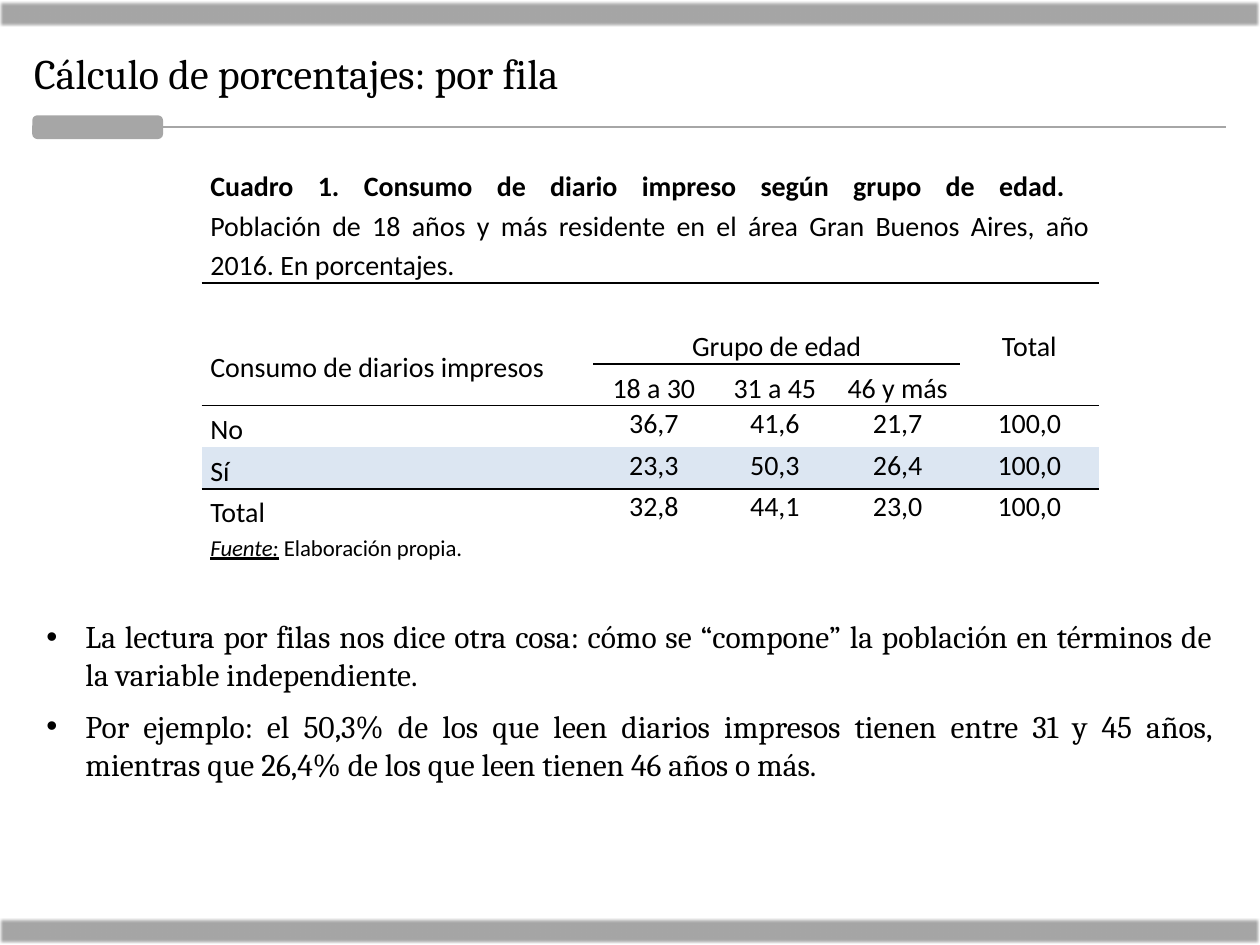
from dataclasses import dataclass

import pptx
import pptx.dml.color
import pptx.enum.shapes
import pptx.enum.text
import pptx.oxml
import pptx.oxml.ns
import pptx.util
from lxml import etree

Inches = pptx.util.Inches
Pt = pptx.util.Pt
Align = pptx.enum.text.PP_ALIGN
Anchor = pptx.enum.text.MSO_ANCHOR
Shapes = pptx.enum.shapes.MSO_SHAPE

COLORS = {"ink": "000000", "paper": "FFFFFF", "gray": "A6A6A6", "band": "DCE6F2"}
NO_TABLE_STYLE = "{2D5ABB26-0587-4C30-8999-92F81FD0307C}"
NAMESPACE = pptx.oxml.ns.nsdecls("a")


@dataclass
class Block:
    left: float
    top: float
    width: float
    height: float
    shape: Shapes = Shapes.RECTANGLE
    outline: float = 0
    soft_edge: float = 0


@dataclass
class Bullet:
    top: float
    text: str


BLOCKS = [
    Block(0, 0.01, 10, 0.2, soft_edge=1),
    Block(0, 7.29, 10, 0.2, soft_edge=1),
    Block(0.27, 0.93, 1.01, 0.16, Shapes.ROUNDED_RECTANGLE, outline=2),
]
BULLETS = [
    Bullet(4.85, "La lectura por filas nos dice otra cosa: cómo se “compone” la población "
                 "en términos de la variable independiente."),
    Bullet(5.56, "Por ejemplo: el 50,3% de los que leen diarios impresos tienen entre 31 y 45 "
                 "años, mientras que 26,4% de los que leen tienen 46 años o más."),
]

COLUMN_WIDTHS = [3.11, 0.96, 0.96, 0.99, 1.1]
ROW_HEIGHTS = [0.91, 0.33, 0.31] + [0.33] * 5
AGE_GROUPS = ["18 a 30", "31 a 45", "46 y más"]
DATA = [
    ["No", "36,7", "41,6", "21,7", "100,0"],
    ["Sí", "23,3", "50,3", "26,4", "100,0"],
    ["Total", "32,8", "44,1", "23,0", "100,0"],
]
FIRST_DATA_ROW = 4
SHADED_ROW = 5
RULED_ROWS = {0, 2, 3, 5}


def color(name: str) -> pptx.dml.color.RGBColor:
    return pptx.dml.color.RGBColor.from_string(COLORS[name])


def set_font(font, name: str, size: float) -> None:
    font.name = name
    font.size = Pt(size)
    font.color.rgb = color("ink")


def add_block(page, block: Block) -> None:
    box = page.shapes.add_shape(block.shape, Inches(block.left), Inches(block.top),
                                Inches(block.width), Inches(block.height))
    box.shadow.inherit = False
    box.fill.solid()
    box.fill.fore_color.rgb = color("gray")
    if block.outline:
        box.line.color.rgb = color("gray")
        box.line.width = Pt(block.outline)
    else:
        box.line.fill.background()
    if block.soft_edge:
        effects = box._element.spPr.find(pptx.oxml.ns.qn("a:effectLst"))
        etree.SubElement(effects, pptx.oxml.ns.qn("a:softEdge"), rad=str(Pt(block.soft_edge)))


def add_bullet(page, bullet: Bullet) -> None:
    box = page.shapes.add_textbox(Inches(0.27), Inches(bullet.top), Inches(9.45), Inches(0.71))
    box.text_frame.word_wrap = True
    para = box.text_frame.paragraphs[0]
    para.text = bullet.text
    para.alignment = Align.JUSTIFY
    properties = para._p.get_or_add_pPr()
    properties.set("marL", str(Inches(0.31)))
    properties.set("indent", str(-Inches(0.31)))
    properties.append(pptx.oxml.parse_xml(f'<a:buFont {NAMESPACE} typeface="Arial"/>'))
    properties.append(pptx.oxml.parse_xml(f'<a:buChar {NAMESPACE} char="•"/>'))
    set_font(para.font, "Cambria", 18)


def format_cell(cell, fill: str, ruled: bool) -> None:
    cell.margin_left = cell.margin_right = Inches(0.07)
    cell.margin_top = cell.margin_bottom = 0
    cell.fill.solid()
    cell.fill.fore_color.rgb = color(fill)
    if ruled:
        cell._tc.get_or_add_tcPr().insert(0, pptx.oxml.parse_xml(
            f'<a:lnB {NAMESPACE} w="{Pt(1)}"><a:solidFill>'
            f'<a:srgbClr val="{COLORS["ink"]}"/></a:solidFill></a:lnB>'))


def write_cell(cell, text: str, align: Align = Align.CENTER, anchor: Anchor = Anchor.BOTTOM,
               size: float = 16, spacing: float = 1.15):
    cell.vertical_anchor = anchor
    para = cell.text_frame.paragraphs[0]
    para.alignment = align
    para.line_spacing = spacing
    if text:
        para.add_run().text = text
    set_font(para.font, "Calibri", size)
    return para


def add_consumption_table(page) -> None:
    frame = page.shapes.add_table(len(ROW_HEIGHTS), len(COLUMN_WIDTHS), Inches(1.6), Inches(1.31),
                                  Inches(sum(COLUMN_WIDTHS)), Inches(sum(ROW_HEIGHTS)))
    table = frame.table
    table.first_row = table.horz_banding = False
    table._tbl.tblPr.find(pptx.oxml.ns.qn("a:tableStyleId")).text = NO_TABLE_STYLE
    for column, width in zip(table.columns, COLUMN_WIDTHS):
        column.width = Inches(width)
    for index, (row, height) in enumerate(zip(table.rows, ROW_HEIGHTS)):
        row.height = Inches(height)
        for cell in row.cells:
            format_cell(cell, "band" if index == SHADED_ROW else "paper", index in RULED_ROWS)
    for start, end in [((0, 0), (0, 4)), ((2, 0), (3, 0)), ((2, 1), (2, 3)),
                       ((2, 4), (3, 4)), ((7, 0), (7, 4))]:
        table.cell(*start).merge(table.cell(*end))

    # Caption and source
    caption = write_cell(table.cell(0, 0), "Cuadro 1. Consumo de diario impreso según grupo de edad. ",
                         Align.JUSTIFY)
    caption.runs[0].font.bold = True
    caption.add_line_break()
    caption.add_run().text = ("Población de 18 años y más residente en el área Gran Buenos Aires, "
                              "año 2016. En porcentajes.")
    source = write_cell(table.cell(7, 0), "Fuente:", Align.JUSTIFY, Anchor.TOP, 13)
    source.runs[0].font.italic = source.runs[0].font.underline = True
    source.add_run().text = " Elaboración propia."

    # Headings
    write_cell(table.cell(2, 0), "Consumo de diarios impresos", Align.LEFT, Anchor.MIDDLE)
    write_cell(table.cell(2, 1), "Grupo de edad")
    write_cell(table.cell(2, 4), "Total", anchor=Anchor.TOP)
    for column, group in enumerate(AGE_GROUPS, start=1):
        write_cell(table.cell(3, column), group)

    # Percentages
    for row, (label, *values) in enumerate(DATA, start=FIRST_DATA_ROW):
        write_cell(table.cell(row, 0), label, Align.LEFT)
        for column, value in enumerate(values, start=1):
            cell = table.cell(row, column)
            cell.margin_left = cell.margin_right = cell.margin_top = Inches(0.01)
            write_cell(cell, value, anchor=Anchor.TOP, spacing=1.0)


def main() -> None:
    deck = pptx.Presentation()
    deck.slide_width, deck.slide_height = Inches(10), Inches(7.5)
    page = deck.slides.add_slide(deck.slide_layouts[5])

    # Title
    title = page.shapes.title
    title.left, title.top = Inches(0.17), Inches(0.33)
    title.width, title.height = Inches(9.56), Inches(0.5)
    title.text_frame.text = "Cálculo de porcentajes: por fila"
    para = title.text_frame.paragraphs[0]
    para.alignment = Align.LEFT
    set_font(para.font, "Cambria", 24)

    # Bars and title rule
    for block in BLOCKS:
        add_block(page, block)
    rule = page.shapes.add_connector(pptx.enum.shapes.MSO_CONNECTOR.STRAIGHT,
                                     Inches(1.23), Inches(1.01), Inches(9.73), Inches(1.01))
    rule.line.color.rgb = color("gray")
    rule.line.width = Pt(1.25)
    etree.SubElement(rule._element.spPr, pptx.oxml.ns.qn("a:effectLst"))

    # Table and reading
    add_consumption_table(page)
    for bullet in BULLETS:
        add_bullet(page, bullet)

    deck.save("out.pptx")


if __name__ == "__main__":
    main()
